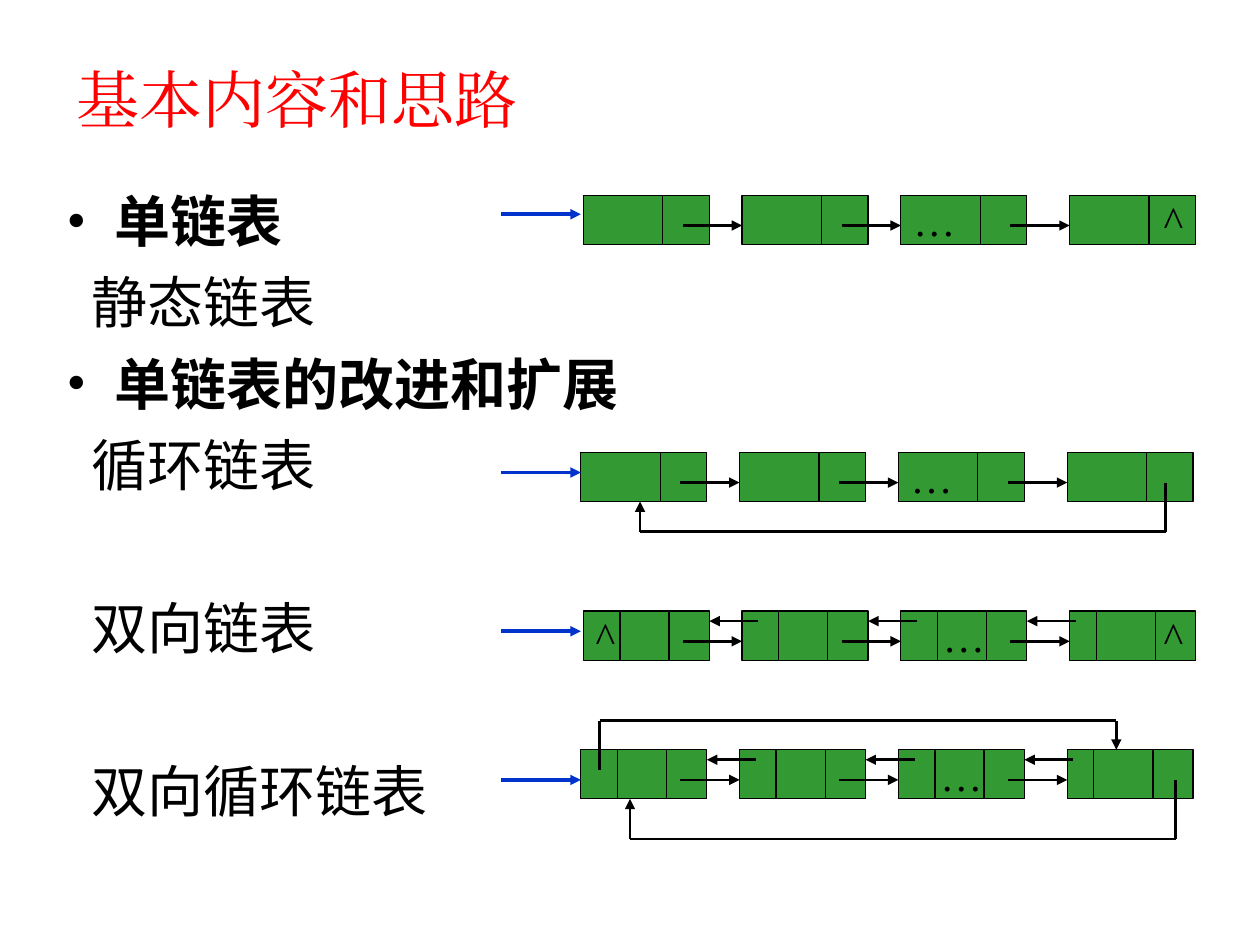
from itertools import pairwise

from lxml.etree import SubElement
from pptx import Presentation
from pptx.dml.color import RGBColor
from pptx.enum.shapes import MSO_CONNECTOR, MSO_SHAPE
from pptx.enum.text import MSO_ANCHOR, PP_ALIGN
from pptx.oxml.ns import qn
from pptx.util import Inches, Pt

BLACK, BLUE, GREEN, RED = "000000", "0033CC", "339933", "FF0000"
SANS, SERIF = "Noto Sans CJK SC", "Times New Roman"
LEFT, CENTER, RIGHT = PP_ALIGN.LEFT, PP_ALIGN.CENTER, PP_ALIGN.RIGHT

NODE_LEFTS = (0, 1.26, 2.52, 3.86)
NODE_WIDTH, NODE_HEIGHT = 1, 0.39
LINE_HEIGHT, LINE_GAP = 38.5, 8
ENTRY_LEFT, ENTRY_RIGHT = 3.98, 4.61


def color(value):
    return RGBColor.from_string(value)


def write(para, text, size, font, fill, bold=False):
    para.text = text
    for span in para.runs:
        span.font.size = Pt(size)
        span.font.bold = bold
        span.font.color.rgb = color(fill)
        span.font.name = font
        SubElement(span.font._element, qn("a:ea"), typeface=font)


def add_line(shapes, start, end, width=1.5, fill=BLACK, arrow=False):
    points = [Inches(value) for value in (*start, *end)]
    line = shapes.add_connector(MSO_CONNECTOR.STRAIGHT, *points)
    line.line.width = Pt(width)
    line.line.color.rgb = color(fill)
    if arrow:
        SubElement(line.line._get_or_add_ln(), qn("a:tailEnd"), type="triangle")
    SubElement(line._element.spPr, qn("a:effectLst"))


def add_route(shapes, points):
    """Join the points with lines; the last one carries the arrowhead."""
    for start, end in pairwise(points):
        add_line(shapes, start, end, arrow=end == points[-1])


def add_node(shapes, left, top, dividers, label):
    node = shapes.add_shape(MSO_SHAPE.RECTANGLE, Inches(left), Inches(top),
                            Inches(NODE_WIDTH), Inches(NODE_HEIGHT))
    node.shadow.inherit = False
    node.fill.solid()
    node.fill.fore_color.rgb = color(GREEN)
    node.line.color.rgb = color(BLACK)
    node.line.width = Pt(0.75)
    if label:
        text, align = label
        frame = node.text_frame
        frame.vertical_anchor = MSO_ANCHOR.MIDDLE
        write(frame.paragraphs[0], text, 24, SERIF, BLACK)
        frame.paragraphs[0].alignment = align
    for offset in dividers:
        x = left + offset
        add_line(shapes, (x, top), (x, top + NODE_HEIGHT), width=0.75)


def add_linked_list(page, left, top, labels, double=False, routes=()):
    """Draw four nodes with their links; routes are relative to the first node."""
    shapes = page.shapes.add_group_shape().shapes
    lefts = [left + offset for offset in NODE_LEFTS]
    for index, x in enumerate(lefts):
        back_cell = 0.21 if index == len(lefts) - 1 else 0.29
        dividers = (back_cell, 0.68) if double else (0.63,)
        add_node(shapes, x, top, dividers, labels.get(index))
    for here, following in pairwise(lefts):
        y = top + 0.24
        add_line(shapes, (following - 0.47, y), (following, y), arrow=True)
        if double:
            right, y = here + NODE_WIDTH, top + 0.08
            add_line(shapes, (right + 0.39, y), (right, y), arrow=True)
    for route in routes:
        add_route(shapes, [(left + x, top + y) for x, y in route])


def add_title(page, left, top, width, height):
    box = page.shapes.add_textbox(Inches(left), Inches(top), Inches(width), Inches(height))
    box.text_frame.word_wrap = False
    write(box.text_frame.paragraphs[0], "基本内容和思路", 36, SERIF, RED)


def add_outline(page, left, top, width, height):
    # Each entry: text, whether it is a bulleted heading, whether a line is skipped before it
    entries = (
        ("单链表", True, False),
        ("静态链表", False, False),
        ("单链表的改进和扩展", True, False),
        ("循环链表", False, False),
        ("双向链表", False, True),
        ("双向循环链表", False, True),
    )
    box = page.shapes.add_textbox(Inches(left), Inches(top), Inches(width), Inches(height))
    frame = box.text_frame
    frame.word_wrap = True
    for index, (text, heading, skip) in enumerate(entries):
        para = frame.add_paragraph() if index else frame.paragraphs[0]
        para.line_spacing = Pt(LINE_HEIGHT)
        if index:
            para.space_before = Pt(LINE_GAP + skip * (LINE_HEIGHT + LINE_GAP))
        props = para._p.get_or_add_pPr()
        props.set("marL", str(Inches(0.38 if heading else 0.2)))
        if heading:
            props.set("indent", str(-Inches(0.38)))
            SubElement(props, qn("a:buFont"), typeface=SERIF)
            SubElement(props, qn("a:buChar"), char="•")
        write(para, text, 32, SANS, BLACK, bold=heading)


def main():
    deck = Presentation()
    deck.slide_width, deck.slide_height = Inches(10), Inches(7.5)
    page = deck.slides.add_slide(deck.slide_layouts[6])

    add_outline(page, 0.43, 1.43, 4.72, 5.35)
    add_title(page, 0.51, 0.43, 3.7, 0.7)

    single_loop = ((4.64, 0.24), (4.64, 0.63), (0.47, 0.63), (0.47, NODE_HEIGHT))
    lower_loop = ((4.72, 0.24), (4.72, 0.71), (0.39, 0.71), (0.39, NODE_HEIGHT))
    upper_loop = ((0.15, 0.16), (0.15, -0.23), (4.25, -0.23), (4.25, 0))

    add_linked_list(page, 4.63, 1.55, {2: ("…", LEFT), 3: ("^", RIGHT)})
    add_linked_list(page, 4.61, 3.59, {2: ("…", LEFT)}, routes=[single_loop])
    add_linked_list(page, 4.63, 4.85,
                    {0: ("^", LEFT), 2: ("…", CENTER), 3: ("^", RIGHT)}, double=True)
    add_linked_list(page, 4.61, 5.95, {2: ("…", CENTER)}, double=True,
                    routes=[lower_loop, upper_loop])

    for y in (1.7, 3.75, 5.01, 6.19):
        add_line(page.shapes, (ENTRY_LEFT, y), (ENTRY_RIGHT, y), 2, BLUE, arrow=True)

    deck.save("out.pptx")


if __name__ == "__main__":
    main()
